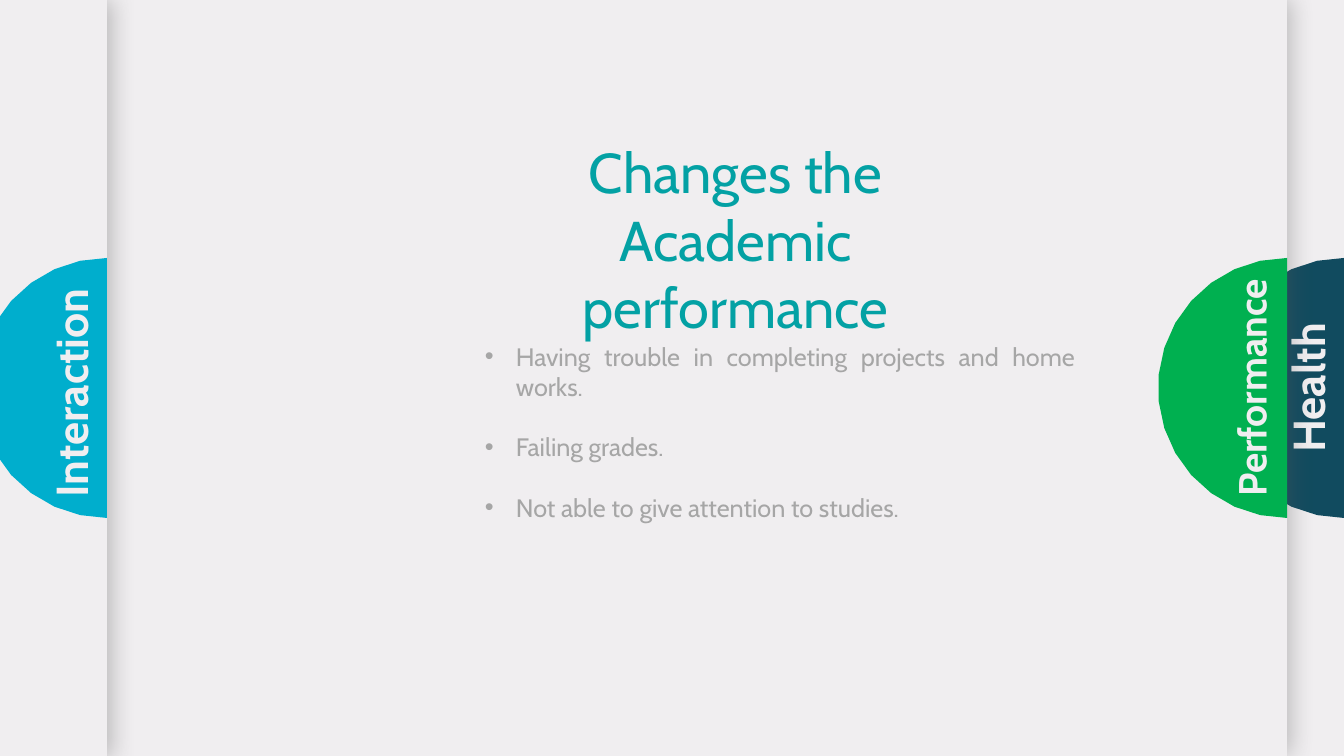
"""Builds a slide of layered tab panels opened on academic performance."""
import math

import pptx
import pptx.dml.color
import pptx.enum.shapes
import pptx.enum.text
import pptx.oxml
import pptx.oxml.ns
import pptx.util

RGB = pptx.dml.color.RGBColor
PAPER = RGB(0xF0, 0xEE, 0xF0)
NAVY = RGB(0x11, 0x4B, 0x5F)
GREEN = RGB(0x00, 0xB0, 0x50)
CYAN = RGB(0x00, 0xAE, 0xCD)
TEAL = RGB(0x03, 0xA1, 0xA4)
GREY = RGB(0xA6, 0xA6, 0xA6)
SHADOW = RGB(0x59, 0x59, 0x59)

PANELS = [
    {"label": "Health", "left": -32, "right": 1344, "color": NAVY, "size": 32, "box": (220, 64), "middle": 388},
    {"label": "Performance", "left": 25, "right": 1287, "color": GREEN, "size": 28, "box": (260, 57), "middle": 388},
    {"label": "Interaction", "left": -991, "right": 107, "color": CYAN, "size": 32, "box": (250, 64), "middle": 393},
]
TITLE = "Changes the Academic performance"
POINTS = [
    "Having trouble in completing projects and home works.",
    "Failing grades.",
    "Not able to give attention to studies.",
]

WIDTH, HEIGHT = 1344, 756
TAB_WIDTH, TAB_RADIUS, TAB_MIDDLE = 129, 130, 388
LABEL_INSET = 36
BULLET_INDENT = 31
ALIGN = pptx.enum.text.PP_ALIGN


def px(length):
    return pptx.util.Emu(round(length * 914400 / 100.8))


def add_shadow(shape):
    shape.shadow.inherit = False
    effects = shape._element.spPr.find(pptx.oxml.ns.qn("a:effectLst"))
    effects.append(pptx.oxml.parse_xml(
        f'<a:outerShdw {pptx.oxml.ns.nsdecls("a")} blurRad="{pptx.util.Pt(17)}" dist="{pptx.util.Pt(3)}" '
        f'dir="0" algn="l" rotWithShape="0"><a:srgbClr val="{SHADOW}"><a:alpha val="35000"/>'
        '</a:srgbClr></a:outerShdw>'))


def add_text(slide, lines, box, align, size, color, bold=False, bullets=False):
    text_box = slide.shapes.add_textbox(*map(px, box))
    frame = text_box.text_frame
    frame.word_wrap = True
    frame.auto_size = pptx.enum.text.MSO_AUTO_SIZE.SHAPE_TO_FIT_TEXT
    for index, line in enumerate(lines):
        paragraph = frame.paragraphs[0] if index == 0 else frame.add_paragraph()
        paragraph.text = line
        paragraph.alignment = align
        if index:
            paragraph.space_before = pptx.util.Pt(21.5)
        if bullets:
            properties = paragraph._p.get_or_add_pPr()
            properties.set("marL", str(px(BULLET_INDENT)))
            properties.set("indent", str(-px(BULLET_INDENT)))
            for bullet in ('a:buFont {} typeface="Arial"', 'a:buChar {} char="•"'):
                properties.append(pptx.oxml.parse_xml(f'<{bullet.format(pptx.oxml.ns.nsdecls("a"))}/>'))
        font = paragraph.runs[0].font
        for name, value in {"name": "Cabin", "size": pptx.util.Pt(size), "bold": bold}.items():
            setattr(font, name, value)
        font.color.rgb = color
    return text_box


def add_panel(slide, panel):
    left, right = panel["left"], panel["right"]
    sheet = slide.shapes.add_shape(
        pptx.enum.shapes.MSO_SHAPE.RECTANGLE, px(left), 0, px(right - left), px(HEIGHT))
    add_shadow(sheet)

    arc = [(px(right - TAB_WIDTH * math.sin(math.radians(angle))),
            px(TAB_MIDDLE - TAB_RADIUS * math.cos(math.radians(angle))))
           for angle in range(0, 181, 12)]
    outline = slide.shapes.build_freeform(*arc[0])
    outline.add_line_segments(arc[1:], close=True)
    tab = outline.convert_to_shape()
    tab.shadow.inherit = False

    for part, color in ((sheet, PAPER), (tab, panel["color"])):
        part.fill.solid()
        part.fill.fore_color.rgb = color
        part.line.fill.background()

    width, height = panel["box"]
    box = (right - LABEL_INSET - width / 2, panel["middle"] - height / 2, width, height)
    label = add_text(slide, [panel["label"]], box, ALIGN.CENTER, panel["size"], PAPER, bold=True)
    label.rotation = 270


def main():
    deck = pptx.Presentation()
    deck.slide_width, deck.slide_height = px(WIDTH), px(HEIGHT)
    slide = deck.slides.add_slide(deck.slide_layouts[6])
    for panel in PANELS:
        add_panel(slide, panel)
    add_text(slide, [TITLE], (467, 133, 537, 146), ALIGN.CENTER, 40, TEAL)
    add_text(slide, POINTS, (475, 336, 610, 194), ALIGN.JUSTIFY, 18, GREY, bullets=True)
    deck.save("out.pptx")


if __name__ == "__main__":
    main()
